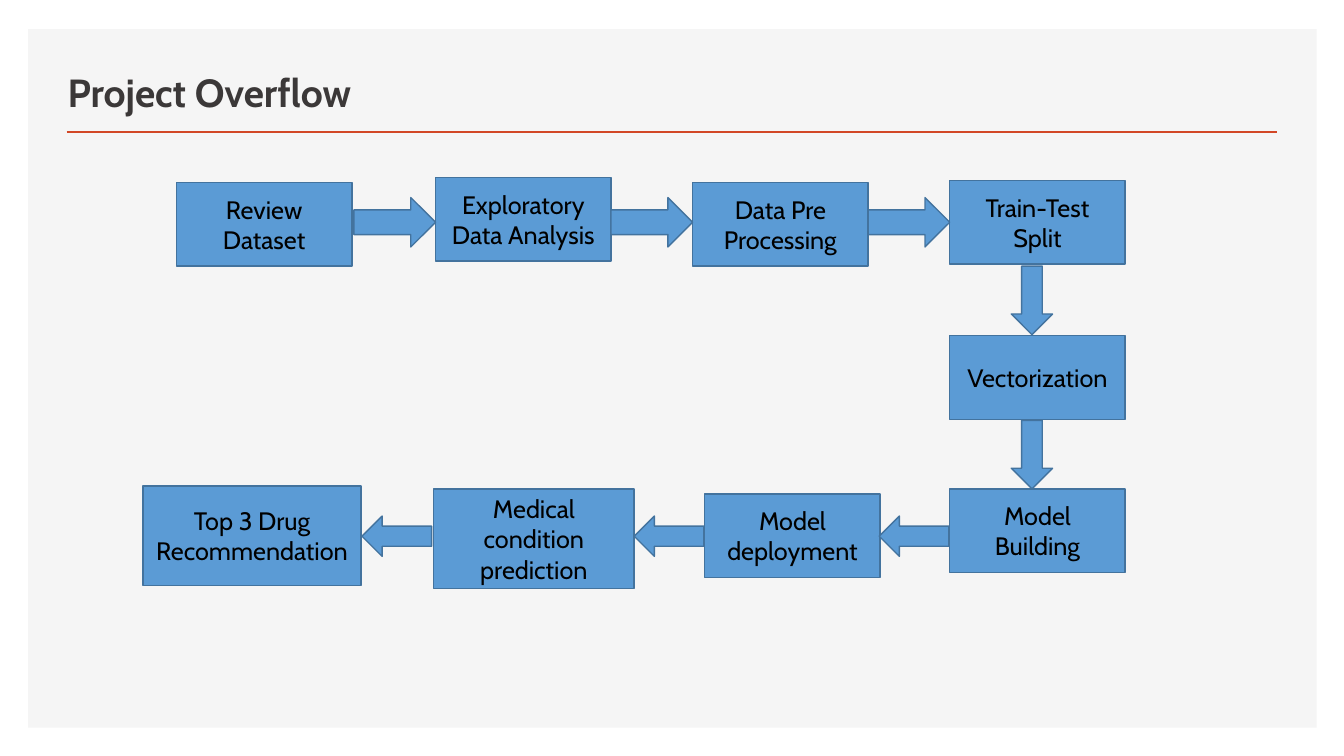
from pptx import Presentation
from pptx.dml.color import RGBColor
from pptx.enum.shapes import MSO_CONNECTOR, MSO_SHAPE
from pptx.enum.text import MSO_ANCHOR, MSO_AUTO_SIZE, PP_ALIGN
from pptx.oxml.ns import qn
from pptx.util import Inches, Pt
from lxml.etree import SubElement

COLORS = {
    "panel": "F5F5F5",
    "rule": "D24726",
    "title": "3B3838",
    "step": "5B9BD5",
    "outline": "43739E",
    "text": "000000",
}
STEP_SIZE = (1.74, 0.83)
FINAL_HEIGHT = 0.99
COLUMN_LEFT = 9.42


class FlowSlide:
    font_name = "Cabin"

    def __init__(self, presentation):
        self.slide = presentation.slides.add_slide(presentation.slide_layouts[5])
        self.shapes = self.slide.shapes

    def color(self, key):
        return RGBColor.from_string(COLORS[key])

    def style_text(self, paragraph, size, color, align, bold=False):
        paragraph.alignment = align
        paragraph.font.name = self.font_name
        paragraph.font.size = Pt(size)
        paragraph.font.bold = bold
        paragraph.font.color.rgb = self.color(color)

    def block(self, kind, box, fill, outline=None):
        block = self.shapes.add_shape(kind, *map(Inches, box))
        block.shadow.inherit = False
        block.fill.solid()
        block.fill.fore_color.rgb = self.color(fill)
        if outline:
            block.line.color.rgb = self.color(outline)
            block.line.width = Pt(1)
        else:
            block.line.fill.background()
        return block

    def rule(self, left, right, y):
        rule = self.shapes.add_connector(
            MSO_CONNECTOR.STRAIGHT, Inches(left), Inches(y), Inches(right), Inches(y))
        rule.line.color.rgb = self.color("rule")
        rule.line.width = Pt(2)
        SubElement(rule._element.spPr, qn("a:effectLst"))

    def title(self, wording, box):
        title = self.shapes.title
        self.shapes._spTree.append(title._element)
        title.left, title.top, title.width, title.height = map(Inches, box)
        frame = title.text_frame
        frame.text = wording
        frame.auto_size = MSO_AUTO_SIZE.NONE
        frame.vertical_anchor = MSO_ANCHOR.BOTTOM
        self.style_text(frame.paragraphs[0], 28, "title", PP_ALIGN.LEFT, bold=True)

    def step(self, wording, left, top, width=STEP_SIZE[0], height=STEP_SIZE[1]):
        step = self.block(MSO_SHAPE.RECTANGLE, (left, top, width, height), "step", "outline")
        frame = step.text_frame
        frame.word_wrap = True
        frame.vertical_anchor = MSO_ANCHOR.MIDDLE
        frame.text = wording
        self.style_text(frame.paragraphs[0], 18, "text", PP_ALIGN.CENTER)

    def arrow(self, kind, *box):
        self.block(kind, box, "step", "outline")


def main():
    presentation = Presentation()
    presentation.slide_width = Inches(13.33)
    presentation.slide_height = Inches(7.5)

    overview = FlowSlide(presentation)
    overview.block(MSO_SHAPE.RECTANGLE, (0.28, 0.29, 12.78, 6.93), "panel")
    overview.rule(0.66, 12.67, 1.31)
    overview.title("Project Overflow", (0.57, 0.49, 7.52, 0.7))

    for wording, *box in (
        ("Review Dataset", 1.75, 1.81),
        ("Exploratory Data Analysis", 4.32, 1.76),
        ("Data Pre Processing", 6.87, 1.81),
        ("Train-Test Split", COLUMN_LEFT, 1.79),
        ("Vectorization", COLUMN_LEFT, 3.33),
        ("Model Building", COLUMN_LEFT, 4.85),
        ("Model deployment", 6.99, 4.9),
        ("Medical condition prediction", 4.3, 4.85, 1.99, FINAL_HEIGHT),
        ("Top 3 Drug Recommendation", 1.42, 4.82, 2.16, FINAL_HEIGHT),
    ):
        overview.step(wording, *box)

    for left in (3.51, 6.06, 8.61):
        overview.arrow(MSO_SHAPE.RIGHT_ARROW, left, 1.96, 0.81, 0.49)
    for top in (2.64, 4.17):
        overview.arrow(MSO_SHAPE.DOWN_ARROW, 10.03, top, 0.41, 0.68)
    for left in (8.72, 6.29, 3.59):
        overview.arrow(MSO_SHAPE.LEFT_ARROW, left, 5.12, 0.69, 0.4)

    presentation.save("out.pptx")


if __name__ == "__main__":
    main()
